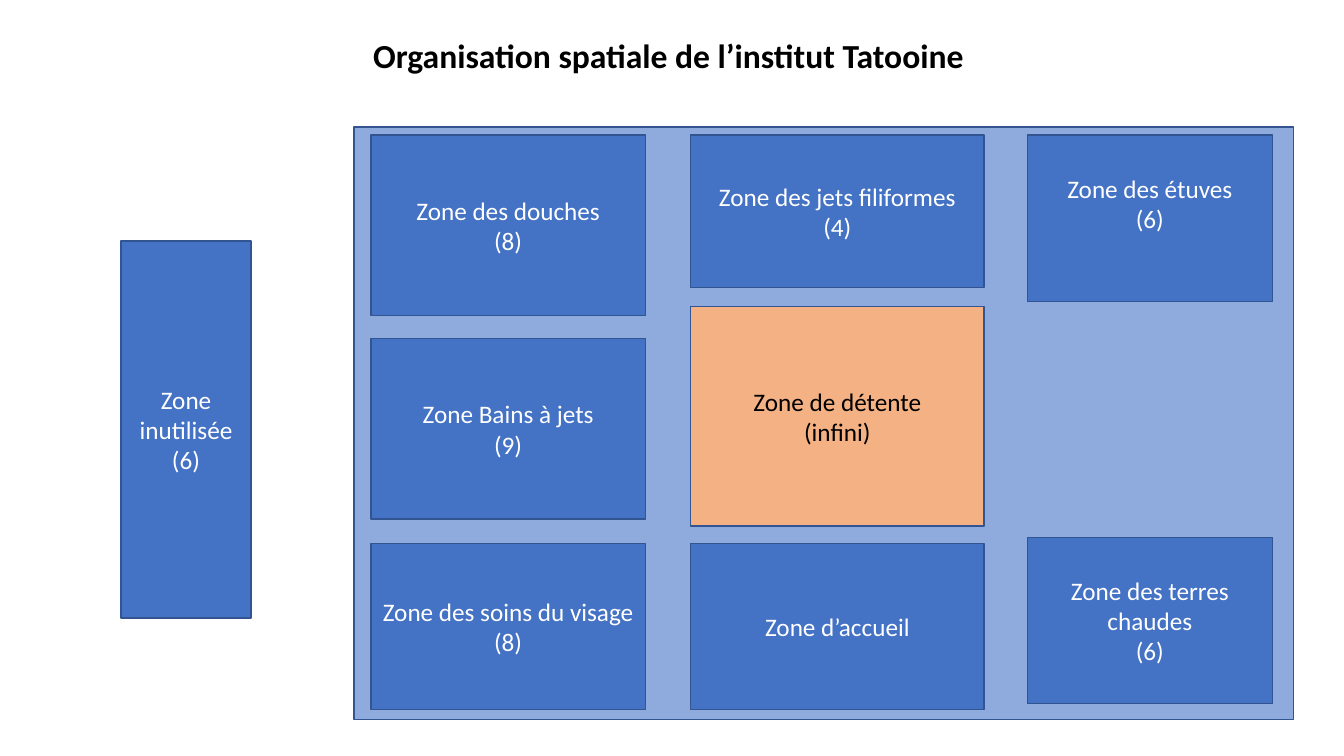
from pptx import Presentation
from pptx.dml.color import RGBColor
from pptx.enum.shapes import MSO_SHAPE as Shape
from pptx.enum.text import MSO_ANCHOR as Anchor, MSO_AUTO_SIZE as Fit, PP_ALIGN as Align
from pptx.util import Pt

SCALE = 9144  # EMU per px, 100 px to the inch
BLUE, PALE, PEACH, EDGE = "4472C4", "8FAADC", "F4B183", "325491"
WHITE, BLACK = "FFFFFF", "000000"


def px(n):
    return n * SCALE


def rgb(code):
    return RGBColor.from_string(code)


def write(frame, text, size=18, color=WHITE, bold=False, align=Align.CENTER, wrap=True):
    frame.text = text
    frame.auto_size = Fit.NONE
    frame.word_wrap = wrap
    frame.vertical_anchor = Anchor.MIDDLE
    for par in frame.paragraphs:
        par.alignment = align
        par.line_spacing = 1.0
        par.space_before = Pt(0)
        for run in par.runs:
            font = run.font
            font.name, font.size, font.bold = "Calibri", Pt(size), bold
            font.color.rgb = rgb(color)


class Plan:
    def __init__(self, deck):
        self.edge = EDGE
        self.slide = deck.slides.add_slide(deck.slide_layouts[5])

    def title(self, text, x, y, w, h):
        head = self.slide.shapes.title
        head.left, head.top, head.width, head.height = map(px, (x, y, w, h))
        write(head.text_frame, text, size=24, color=BLACK, bold=True,
              align=Align.LEFT, wrap=False)

    def box(self, x, y, w, h, text="", fill=BLUE, color=WHITE, foot=5):
        rect = self.slide.shapes.add_shape(Shape.RECTANGLE, *map(px, (x, y, w, h)))
        rect.shadow.inherit = False
        rect.fill.solid()
        rect.fill.fore_color.rgb = rgb(fill)
        rect.line.color.rgb = rgb(self.edge)
        rect.line.width = Pt(1)
        if text:
            write(rect.text_frame, text, color=color)
            rect.text_frame.margin_bottom = px(foot)


def main():
    deck = Presentation()
    deck.slide_width, deck.slide_height = px(1333), px(750)
    plan = Plan(deck)

    plan.title("Organisation spatiale de l’institut Tatooine", 360, 30, 613, 50)

    # Building
    plan.box(351, 126, 932, 588, fill=PALE)

    # Left column
    left, wide = 368, 272
    plan.box(left, 134, wide, 179, "Zone des douches\n(8)")
    plan.box(left, 336, wide, 179, "Zone Bains à jets\n(9)")
    plan.box(left, 539, wide, 165, "Zone des soins du visage\n(8)")

    # Middle column
    mid, wide = 685, 291
    plan.box(mid, 134, wide, 151, "Zone des jets filiformes\n(4)")
    plan.box(mid, 304, wide, 218, "Zone de détente\n(infini)", fill=PEACH, color=BLACK)
    plan.box(mid, 539, wide, 165, "Zone d’accueil")

    # Right column
    right, wide = 1019, 243
    plan.box(right, 134, wide, 165, "Zone des étuves\n(6)", foot=35)
    plan.box(right, 533, wide, 165, "Zone des terres chaudes\n(6)")

    # Outside the building
    plan.box(120, 239, 129, 374, "Zone inutilisée\n(6)")

    deck.save("out.pptx")


if __name__ == "__main__":
    main()
